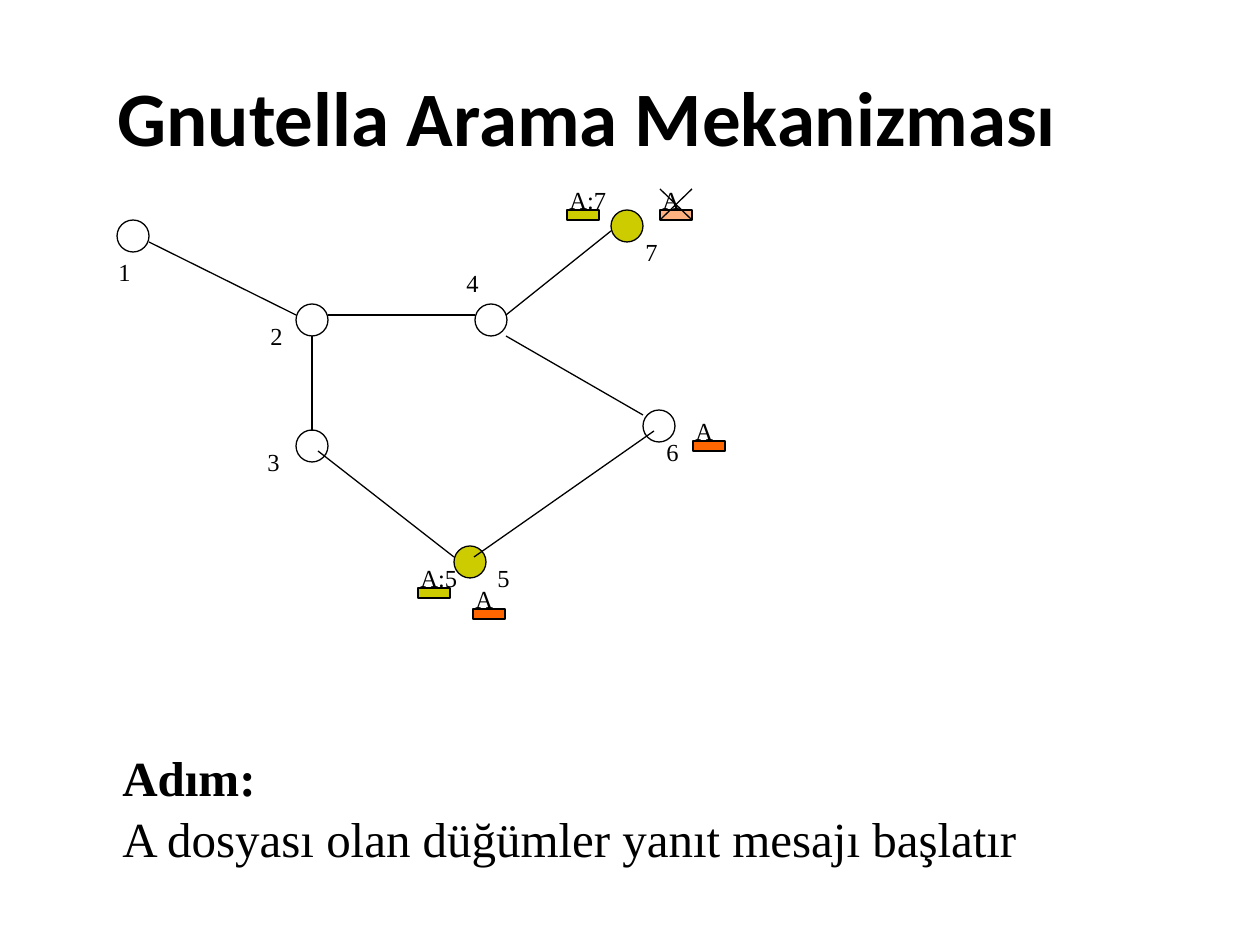
from dataclasses import dataclass

from lxml.etree import SubElement
from pptx import Presentation
from pptx.dml.color import RGBColor
from pptx.enum.shapes import MSO_CONNECTOR as Link, MSO_SHAPE as Form
from pptx.enum.text import MSO_ANCHOR as Anchor, MSO_AUTO_SIZE as Fit, PP_ALIGN as Align
from pptx.oxml.ns import qn
from pptx.util import Emu, Pt

SCALE = 914400 // 126
BLACK, WHITE, OLIVE, ORANGE = "000000", "FFFFFF", "CCCC00", "FF6600"
SERIF = "Times New Roman"
NODE = 32
BAR = (32, 10)
STROKE = 0.74


@dataclass
class Node:
    name: str
    x: int
    y: int
    label_x: int
    label_y: int
    fill: str = WHITE


@dataclass
class Tag:
    text: str
    x: int
    y: int
    width: int
    fill: str
    crossed: bool = False


NODES = [
    Node("1", 117, 220, 106, 251),
    Node("2", 296, 304, 258, 315),
    Node("3", 296, 430, 255, 441),
    Node("4", 475, 304, 454, 262),
    Node("6", 643, 410, 654, 431),
    Node("7", 611, 210, 633, 231, OLIVE),
    Node("5", 454, 546, 485, 557, OLIVE),
]
EDGES = [
    (149, 242, 296, 315),
    (312, 336, 312, 431),
    (328, 315, 475, 315),
    (506, 315, 611, 231),
    (506, 336, 643, 415),
    (318, 451, 454, 557),
    (654, 431, 474, 557),
]
TAGS = [
    Tag("A:5", 418, 588, 62, OLIVE),
    Tag("A", 693, 441, 43, ORANGE),
    Tag("A:7", 567, 210, 62, OLIVE),
    Tag("A", 473, 609, 43, ORANGE),
    Tag("A", 660, 210, 43, ORANGE, crossed=True),
]


def px(*sizes: int) -> list[Emu]:
    return [Emu(size * SCALE) for size in sizes]


def paint(target, color: str) -> None:
    target.solid()
    target.fore_color.rgb = RGBColor.from_string(color)


def write(frame, *lines: str, size: int = 14, font: str = SERIF, color: str = BLACK,
          bold: tuple[bool, ...] = (False,), wrap: bool = False, fit=Fit.SHAPE_TO_FIT_TEXT,
          anchor=Anchor.TOP, spacing: float = 1.0) -> None:
    frame.word_wrap = wrap
    frame.auto_size = fit
    frame.vertical_anchor = anchor
    for i, line in enumerate(lines):
        para = frame.paragraphs[0] if i == 0 else frame.add_paragraph()
        para.alignment = Align.LEFT
        para.line_spacing = spacing
        run = para.add_run()
        run.text = line
        run.font.size = Pt(size)
        run.font.name = font
        run.font.bold = bold[i]
        paint(run.font.fill, color)


def shape(host, form, x: int, y: int, w: int, h: int, fill: str):
    item = host.add_shape(form, *px(x, y, w, h))
    item.shadow.inherit = False
    paint(item.fill, fill)
    paint(item.line.fill, BLACK)
    item.line.width = Pt(STROKE)
    return item


def line(host, ends: tuple[int, int, int, int]) -> None:
    item = host.add_connector(Link.STRAIGHT, *px(*ends))
    paint(item.line.fill, BLACK)
    item.line.width = Pt(STROKE)
    SubElement(item._element.spPr, qn("a:effectLst"))


def label(host, text: str, x: int, y: int, width: int) -> None:
    write(host.add_textbox(*px(x, y, width, 43)).text_frame, text)


def fade(item, percent: int) -> None:
    color = item._element.spPr.find(qn("a:solidFill"))[0]
    SubElement(color, qn("a:alpha"), val=str(percent * 1000))


def draw_tag(host, tag: Tag) -> None:
    group = host.add_group_shape().shapes
    bar = shape(group, Form.RECTANGLE, tag.x, tag.y, *BAR, tag.fill)
    label(group, tag.text, tag.x - 10, tag.y - 31, tag.width)
    if tag.crossed:
        fade(bar, 50)
        left, right = tag.x, tag.x + BAR[0]
        top, bottom = tag.y - 21, tag.y + BAR[1]
        line(group, (right, top, left, bottom))
        line(group, (left, top, right, bottom))


def main() -> None:
    deck = Presentation()
    deck.slide_width, deck.slide_height = px(1260, 945)
    slide = deck.slides.add_slide(deck.slide_layouts[5])
    host = slide.shapes
    title = host.title
    title.left, title.top, title.width, title.height = px(105, 37, 1113, 157)
    write(title.text_frame, "Gnutella Arama Mekanizması", size=44, font="Calibri",
          bold=(True,), wrap=True, fit=Fit.NONE, anchor=Anchor.MIDDLE)
    step = host.add_textbox(*px(110, 738, 929, 190))
    write(step.text_frame, "Adım:", "A dosyası olan düğümler yanıt mesajı başlatır",
          size=28, bold=(True, False), fit=Fit.NONE, spacing=1.05)
    for node in NODES:
        shape(host, Form.OVAL, node.x, node.y, NODE, NODE, node.fill)
    for edge in EDGES:
        line(host, edge)
    for node in NODES:
        label(host, node.name, node.label_x, node.label_y, 38)
    for tag in TAGS:
        draw_tag(host, tag)
    deck.save("out.pptx")


main()
